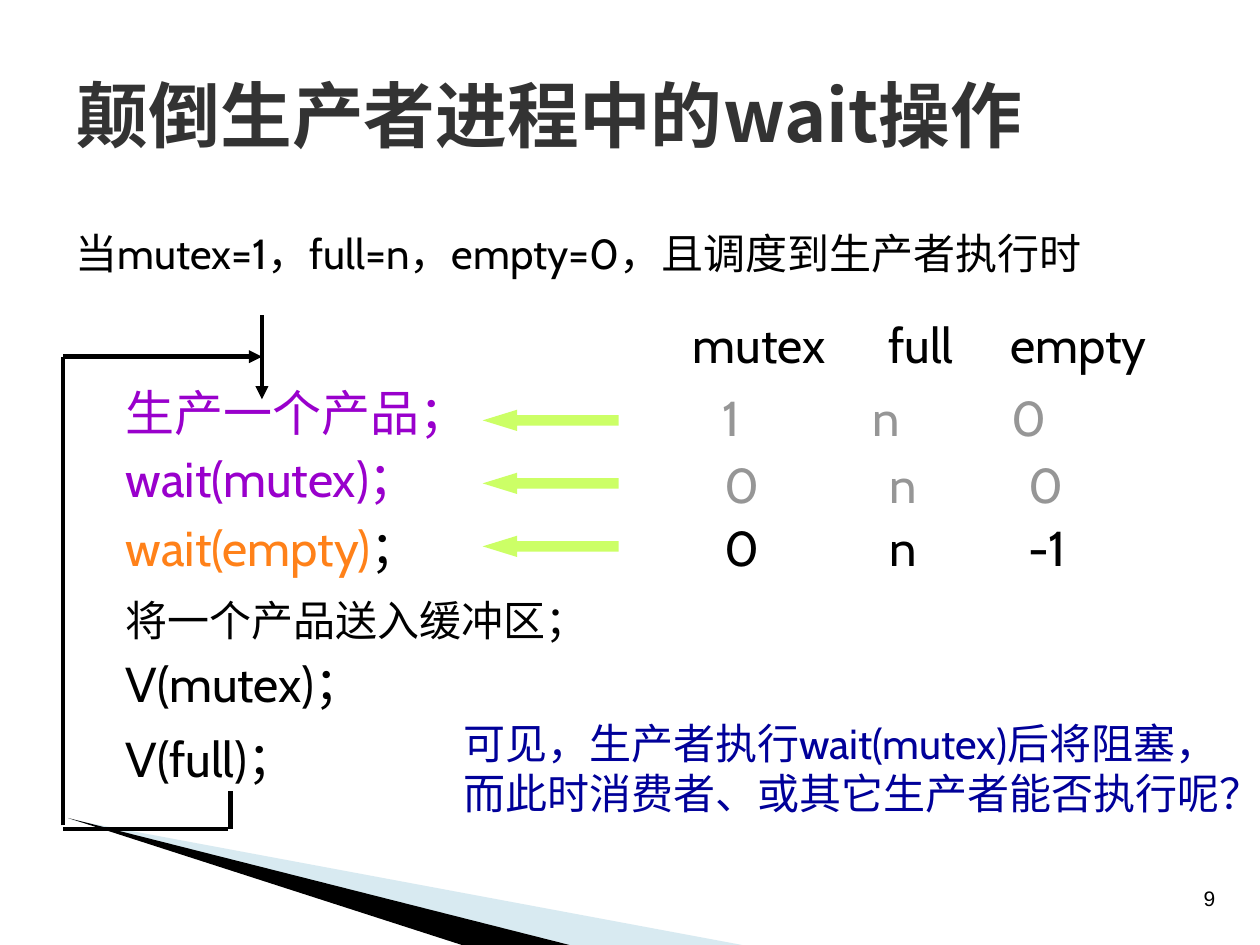
import pptx
import pptx.dml.color
import pptx.enum.shapes
import pptx.enum.text
import pptx.oxml
import pptx.oxml.ns
import pptx.util
from pptx.util import Cm

COLORS = {
    "black": "000000", "title": "333333", "purple": "9900CC", "orange": "FF8119",
    "lime": "CCFF66", "gray": "969696", "navy": "000099", "wedge": "9FCBDC",
}
PADDED = (0.25, 0.13, 0.25, 0.13)
TIGHT = (0, 0, 0, 0)
ANCHOR = pptx.enum.text.MSO_ANCHOR
ALIGN = pptx.enum.text.PP_ALIGN


def rgb(color):
    """Return the named palette colour."""
    return pptx.dml.color.RGBColor.from_string(COLORS[color])


def make_element(tag, **attributes):
    """Return a new drawing element with the given attributes."""
    element = pptx.oxml.parse_xml(f"<a:{tag} {pptx.oxml.ns.nsdecls('a')}/>")
    for name, value in attributes.items():
        element.set(name, str(value))
    return element


def set_format(target, values):
    """Set each attribute of the target from a dict."""
    for name, value in values.items():
        setattr(target, name, value)


def write_text(frame, spans, size, font="Cabin", bold=False, align=ALIGN.LEFT,
               insets=TIGHT, stops=(), **frame_format):
    """Fill a text frame with one paragraph of (text, colour) spans."""
    sides = ("margin_left", "margin_top", "margin_right", "margin_bottom")
    set_format(frame, {"word_wrap": True, **frame_format})
    set_format(frame, {side: Cm(inset) for side, inset in zip(sides, insets)})
    para = frame.paragraphs[0]
    if stops:
        tabs = make_element("tabLst")
        for stop in stops:
            tabs.append(make_element("tab", pos=int(Cm(stop)), algn="l"))
        para._p.get_or_add_pPr().append(tabs)
    set_format(para, {"alignment": align, "space_before": pptx.util.Pt(0)})
    for text, color in spans:
        span = para.add_run()
        span.text = text
        set_format(span.font, {"name": font, "size": pptx.util.Pt(size), "bold": bold})
        span.font.color.rgb = rgb(color)
        span.font._element.find(pptx.oxml.ns.qn("a:latin")).addnext(
            make_element("ea", typeface=font))


def add_text(page, place, spans, size, **options):
    """Add a text box at left, top, width, height in centimetres."""
    box = page.shapes.add_textbox(*map(Cm, place))
    write_text(box.text_frame, spans, size, **options)


def add_title(page, text):
    """Place and format the title placeholder."""
    title = page.shapes.title
    set_format(title, dict(zip(("left", "top", "width", "height"),
                               map(Cm, (1.3, 0.71, 22.86, 3.18)))))
    write_text(title.text_frame, [(text, "title")], 41, font="Noto Sans CJK SC",
               bold=True, insets=PADDED, vertical_anchor=ANCHOR.MIDDLE)


def paint(shape, color):
    """Give a shape a plain fill without line or shadow."""
    shape.shadow.inherit = False
    shape.fill.solid()
    shape.fill.fore_color.rgb = rgb(color)
    shape.line.fill.background()


def add_wedge(page, points, color, opacity=100):
    """Draw a filled triangle from points in centimetres."""
    corners = [(Cm(x), Cm(y)) for x, y in points]
    builder = page.shapes.build_freeform(*corners[0])
    builder.add_line_segments(corners[1:], close=True)
    wedge = builder.convert_to_shape()
    paint(wedge, color)
    if opacity < 100:
        tone = wedge._element.spPr.find(".//" + pptx.oxml.ns.qn("a:srgbClr"))
        tone.append(make_element("alpha", val=opacity * 1000))


def add_flow_line(page, ends, arrow=False):
    """Draw a black line, with an arrowhead at its end if asked."""
    line = page.shapes.add_connector(pptx.enum.shapes.MSO_CONNECTOR.STRAIGHT, *map(Cm, ends))
    line.line.color.rgb = rgb("black")
    line.line.width = pptx.util.Pt(2.5)
    if arrow:
        line.line._get_or_add_ln().append(make_element("tailEnd", type="triangle"))
    line._element.spPr.append(make_element("effectLst"))


def add_pointer(page, top):
    """Draw a lime arrow that points left to a step."""
    pointer = page.shapes.add_shape(
        pptx.enum.shapes.MSO_SHAPE.LEFT_ARROW, *map(Cm, (9.73, top, 2.74, 0.43)))
    pointer.adjustments[1] = 1.62
    paint(pointer, "lime")


def main():
    """Build and save the slide."""
    deck = pptx.Presentation()
    set_format(deck, {"slide_width": Cm(25.4), "slide_height": Cm(19.05)})
    page = deck.slides.add_slide(deck.slide_layouts.get_by_name("Title Only"))

    add_wedge(page, [(1.4, 16.52), (14.96, 19.05), (11.48, 19.05)], "wedge", opacity=40)
    add_wedge(page, [(1.37, 16.49), (11.48, 19.05), (9.31, 19.05)], "black")
    add_text(page, (23.16, 17.73, 2.44, 0.76), [("9", "black")], 12, font="Arial",
             align=ALIGN.CENTER, insets=PADDED, vertical_anchor=ANCHOR.MIDDLE,
             word_wrap=False)
    add_title(page, "颠倒生产者进程中的wait操作")
    add_text(page, (1.27, 4.45, 22.1, 2.29),
             [("当mutex=1，full=n，empty=0，且调度到生产者执行时", "black")], 24, insets=PADDED)

    steps = [
        (7.72, 7.37, 28, [("生产一个产品；", "purple")]),
        (9.04, 6.6, 28, [("wait(mutex)；", "purple")]),
        (10.44, 6.6, 28, [("wait(empty)", "orange"), ("；", "black")]),
        (11.99, 9.53, 24, [("将一个产品送入缓冲区；", "black")]),
        (13.18, 6.6, 28, [("V(mutex)；", "black")]),
        (14.68, 6.6, 28, [("V(full)；", "black")]),
    ]
    for top, width, size, spans in steps:
        add_text(page, (2.54, top, width, 1.19), spans, size)

    left, entry, loop_top, loop_bottom = 1.27, 5.28, 7.19, 16.71
    add_flow_line(page, (entry, 6.35, entry, 8.05), arrow=True)
    add_flow_line(page, (4.65, 15.95, 4.65, loop_bottom))
    add_flow_line(page, (4.6, loop_bottom, left, loop_bottom))
    add_flow_line(page, (left, 16.64, left, loop_top))
    add_flow_line(page, (left, loop_top, entry, loop_top), arrow=True)

    states = [
        (6.35, "mutex\tfull\tempty", "black", (3.94, 6.4)),
        (7.82, "\t1\tn\t0", "gray", (0.6, 3.61, 6.43)),
        (9.17, "\t0\tn\t0", "gray", (0.63, 3.96, 6.76)),
        (10.44, "\t0\tn\t-1", "black", (0.63, 3.96, 6.76)),
    ]
    for top, values, color, stops in states:
        add_text(page, (13.97, top, 10.36, 1.19), [(values, color)], 28, stops=stops)
    for row in range(3):
        add_pointer(page, 8.26 + 1.27 * row)

    conclusion = "可见，生产者执行wait(mutex)后将阻塞，而此时消费者、或其它生产者能否执行呢？"
    add_text(page, (9.09, 14.33, 15.8, 3.3), [(conclusion, "navy")], 24, insets=PADDED)
    deck.save("out.pptx")


if __name__ == "__main__":
    main()
